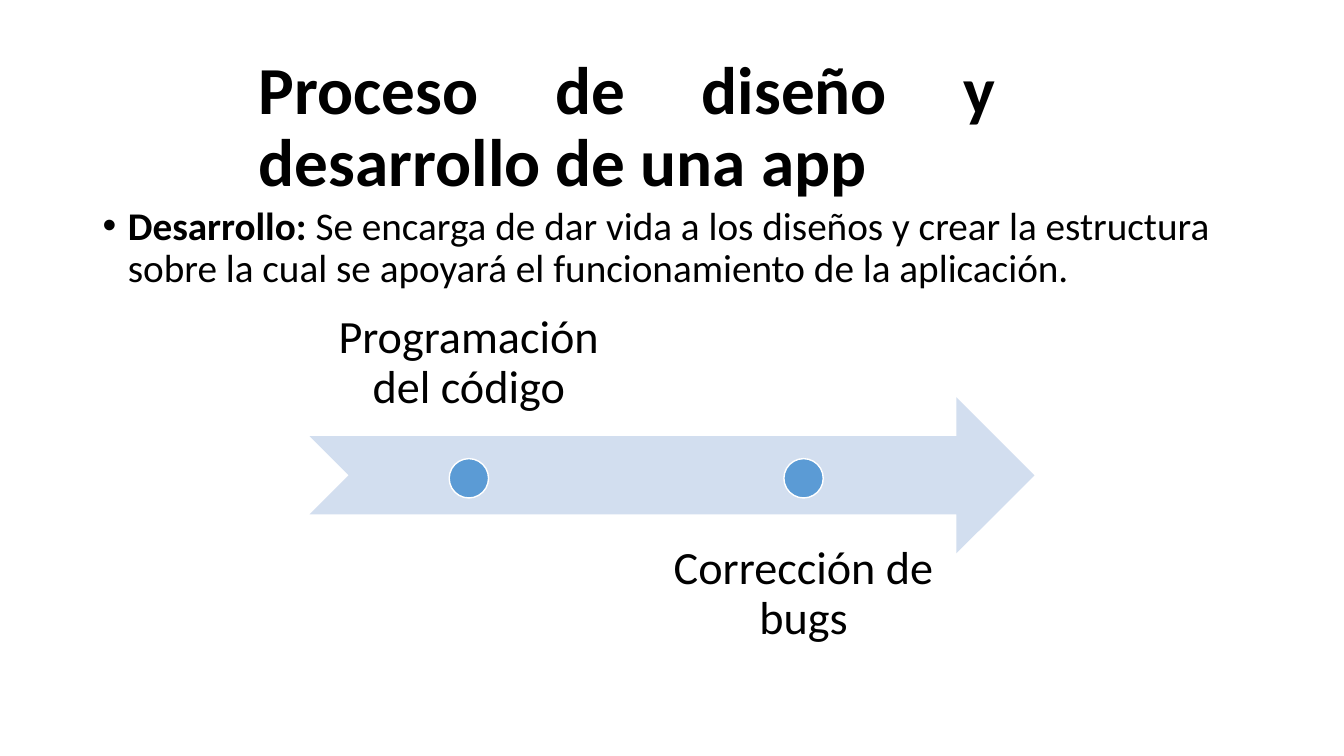
from dataclasses import dataclass

from lxml import etree
from pptx import Presentation
from pptx.dml.color import RGBColor
from pptx.enum.shapes import MSO_SHAPE
from pptx.enum.text import MSO_ANCHOR, PP_ALIGN
from pptx.oxml.ns import qn
from pptx.util import Inches, Pt

ARROW = MSO_SHAPE.NOTCHED_RIGHT_ARROW
DOT = MSO_SHAPE.OVAL
TOP, MIDDLE, BOTTOM = MSO_ANCHOR.TOP, MSO_ANCHOR.MIDDLE, MSO_ANCHOR.BOTTOM
LEFT, CENTER, JUSTIFY = PP_ALIGN.LEFT, PP_ALIGN.CENTER, PP_ALIGN.JUSTIFY


@dataclass(frozen=True)
class Theme:
    font: str = "Calibri"
    ink: RGBColor = RGBColor(0, 0, 0)
    pale: RGBColor = RGBColor(0xD2, 0xDE, 0xEF)
    blue: RGBColor = RGBColor(0x5B, 0x9B, 0xD5)
    white: RGBColor = RGBColor(255, 255, 255)
    title: Pt = Pt(48)
    body: Pt = Pt(28)
    label: Pt = Pt(33)


THEME = Theme()


def add_text(slide, box, text, size, align=LEFT, anchor=TOP, pad=None):
    frame = slide.shapes.add_textbox(*map(Inches, box)).text_frame
    frame.word_wrap = True
    frame.vertical_anchor = anchor
    if pad is not None:
        frame.margin_left = frame.margin_right = Inches(pad)
        frame.margin_top = frame.margin_bottom = Inches(pad)
    para = frame.paragraphs[0]
    para.text = text
    para.alignment = align
    para.line_spacing = 0.9
    para.font.name = THEME.font
    para.font.size = size
    para.font.color.rgb = THEME.ink
    return para


def add_bullet(slide, box, head, text):
    para = add_text(slide, box, head, THEME.body)
    para.runs[0].font.bold = True
    para.add_run().text = text
    para.space_before = Pt(10)
    props = para._p.get_or_add_pPr()
    props.set("marL", str(Inches(0.25)))
    props.set("indent", str(-Inches(0.25)))
    font = etree.Element(qn("a:buFont"), typeface="Arial")
    mark = etree.Element(qn("a:buChar"), char="•")
    spot = props.index(props.find(qn("a:spcBef"))) + 1
    props[spot:spot] = [font, mark]


def add_form(slide, kind, box, fill, line=None):
    form = slide.shapes.add_shape(kind, *map(Inches, box))
    form.shadow.inherit = False
    form.fill.solid()
    form.fill.fore_color.rgb = fill
    if line is None:
        form.line.fill.background()
    else:
        form.line.color.rgb = line
        form.line.width = Pt(1)


def add_step(slide, left, top, text, anchor):
    width, height, dot = 3.16, 1.55, 0.39
    add_text(slide, (left, top, width, height), text, THEME.label,
             CENTER, anchor, 0.26)
    add_form(slide, DOT, (left + (width - dot) / 2, 4.55, dot, dot),
             THEME.blue, THEME.white)


def main():
    deck = Presentation()
    deck.slide_width = Inches(13.33)
    deck.slide_height = Inches(7.5)
    slide = deck.slides.add_slide(deck.slide_layouts[6])

    add_bullet(slide, (0.92, 2, 11.5, 4.76), "Desarrollo: ",
               "Se encarga de dar vida a los diseños y crear la estructura "
               "sobre la cual se apoyará el funcionamiento de la aplicación.")
    title = add_text(slide, (2.47, 0.55, 7.51, 1.45),
                     "Proceso de diseño y desarrollo de una app",
                     THEME.title, JUSTIFY, MIDDLE)
    title.font.bold = True

    add_form(slide, ARROW, (3.07, 3.94, 7.19, 1.55), THEME.pale)
    add_step(slide, 3.07, 2.81, "Programación del código", BOTTOM)
    add_step(slide, 6.39, 5.14, "Corrección de bugs", TOP)

    deck.save("out.pptx")


if __name__ == "__main__":
    main()
